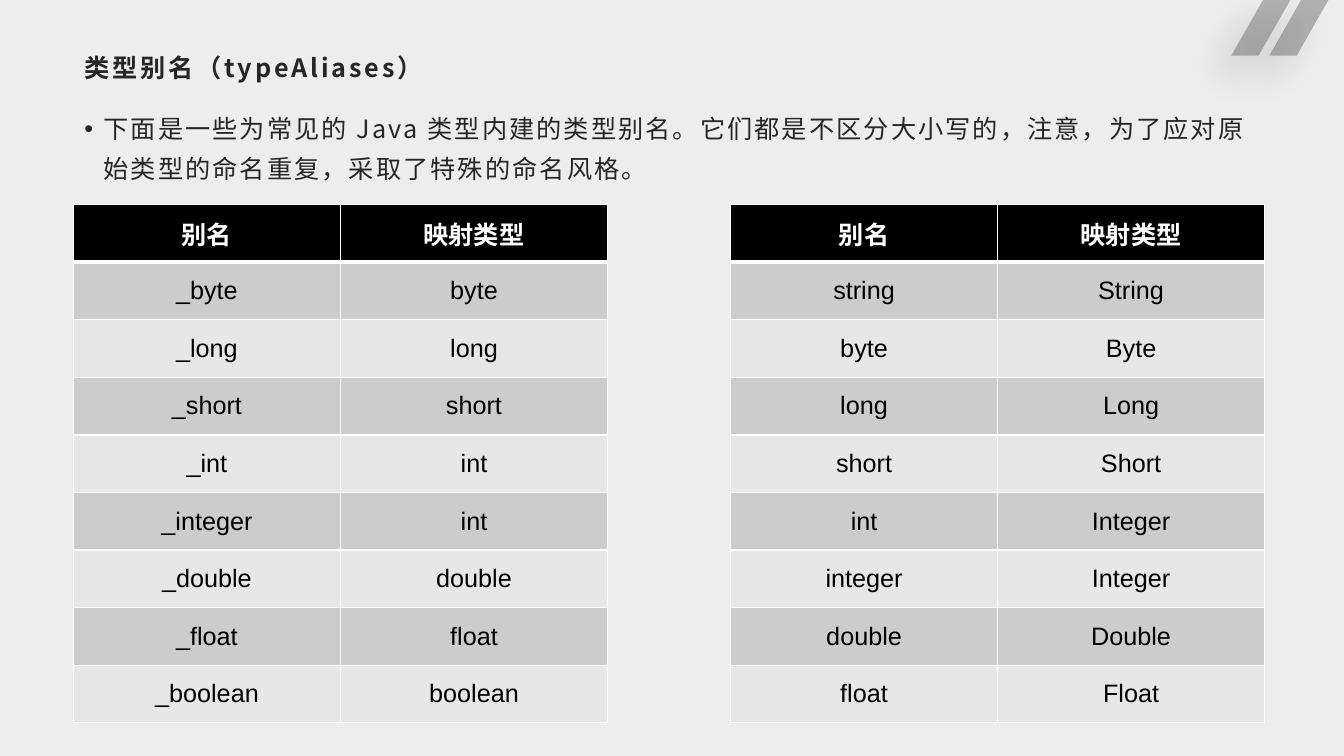
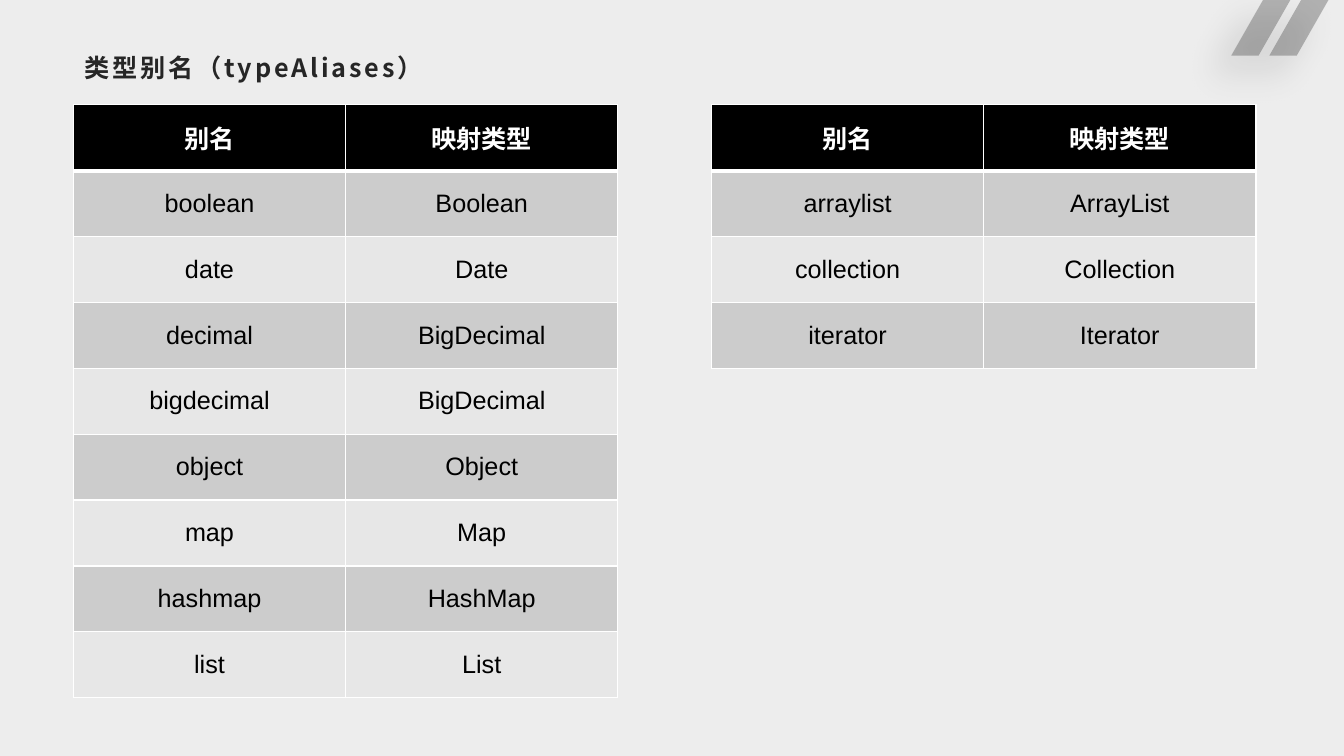
"""Build two slides listing the built-in type aliases."""
from lxml.etree import SubElement
from pptx import Presentation
from pptx.dml.color import RGBColor
from pptx.enum.text import MSO_ANCHOR, PP_ALIGN
from pptx.oxml.ns import qn
from pptx.util import Cm, Pt

TITLE = "类型别名（typeAliases）"
HEADINGS = ("别名", "映射类型")
SLIDES = [
    {
        "intro": "下面是一些为常见的 Java 类型内建的类型别名。它们都是不区分大小写的，注意，"
                 "为了应对原始类型的命名重复，采取了特殊的命名风格。",
        "top": 5.16, "column": 6.73, "row": 1.45,
        "tables": [
            (1.85, [("_byte", "byte"), ("_long", "long"), ("_short", "short"),
                    ("_int", "int"), ("_integer", "int"), ("_double", "double"),
                    ("_float", "float"), ("_boolean", "boolean")]),
            (18.41, [("string", "String"), ("byte", "Byte"), ("long", "Long"),
                     ("short", "Short"), ("int", "Integer"), ("integer", "Integer"),
                     ("double", "Double"), ("float", "Float")]),
        ],
    },
    {
        "intro": None,
        "top": 2.64, "column": 6.86, "row": 1.66,
        "tables": [
            (1.85, [("boolean", "Boolean"), ("date", "Date"), ("decimal", "BigDecimal"),
                    ("bigdecimal", "BigDecimal"), ("object", "Object"), ("map", "Map"),
                    ("hashmap", "HashMap"), ("list", "List")]),
            (17.93, [("arraylist", "ArrayList"), ("collection", "Collection"),
                     ("iterator", "Iterator")]),
        ],
    },
]

BACKGROUND = RGBColor(0xED, 0xED, 0xED)
INK = RGBColor(0x26, 0x26, 0x26)
BLACK = RGBColor(0, 0, 0)
WHITE = RGBColor(0xFF, 0xFF, 0xFF)
BANDS = (RGBColor(0xE7, 0xE7, 0xE7), RGBColor(0xCC, 0xCC, 0xCC))

TEXT_FONT = "Noto Sans CJK SC"
TITLE_FONT = {"name": TEXT_FONT, "size": Pt(18), "bold": True}
INTRO_FONT = {"name": TEXT_FONT, "size": Pt(18), "bold": False}
HEADING_FONT = {"name": "Arial", "size": Pt(18), "bold": True}
ENTRY_FONT = {"name": "Arial", "size": Pt(18), "bold": False}
TITLE_FRAME = {"word_wrap": True, "vertical_anchor": MSO_ANCHOR.TOP,
               "margin_left": Cm(0.28), "margin_right": Cm(0.2),
               "margin_top": Cm(0.1), "margin_bottom": Cm(0.1)}
INTRO_FRAME = {**TITLE_FRAME, "margin_right": Cm(0.23),
               "margin_top": 0, "margin_bottom": 0}
INTRO_SPACING = {"line_spacing": 1.3, "space_after": Pt(10)}

TEXT_LEFT, TEXT_WIDTH = Cm(1.85), Cm(30.15)
STRIPE_LEFTS = (32.79, 31.83)
STRIPE_WIDTH, STRIPE_SLANT, STRIPE_HEIGHT = 0.69, 0.8, 1.4


def set_all(target, values):
    for name, value in values.items():
        setattr(target, name, value)


def add_stripes(slide):
    outline = None
    for left in STRIPE_LEFTS:
        if outline is None:
            outline = slide.shapes.build_freeform(Cm(left), 0)
        else:
            outline.move_to(Cm(left), 0)
        right = left + STRIPE_WIDTH
        corners = [(right, 0), (right - STRIPE_SLANT, STRIPE_HEIGHT),
                   (left - STRIPE_SLANT, STRIPE_HEIGHT)]
        outline.add_line_segments([(Cm(x), Cm(y)) for x, y in corners], close=True)
    stripes = outline.convert_to_shape()
    stripes.fill.solid()
    stripes.fill.fore_color.rgb = INK
    stripes.line.fill.background()
    stripes.shadow.inherit = False
    properties = stripes._element.spPr
    ink = properties.find(qn("a:solidFill")).find(qn("a:srgbClr"))
    SubElement(ink, qn("a:alpha"), val="30000")
    shadow = SubElement(properties.find(qn("a:effectLst")), qn("a:outerShdw"),
                        blurRad=str(Pt(26)), dist=str(Pt(19)), dir="8100000",
                        algn="tr", rotWithShape="0")
    shade = SubElement(shadow, qn("a:srgbClr"), val=str(BLACK))
    SubElement(shade, qn("a:alpha"), val="40000")


def add_text(slide, text, top, height, frame_values, font_values, tracking):
    frame = slide.shapes.add_textbox(TEXT_LEFT, top, TEXT_WIDTH, height).text_frame
    set_all(frame, frame_values)
    paragraph = frame.paragraphs[0]
    run = paragraph.add_run()
    run.text = text
    set_all(run.font, font_values)
    run.font.color.rgb = INK
    properties = run._r.get_or_add_rPr()
    properties.set("spc", str(tracking))
    east_asian = SubElement(properties, qn("a:ea"), typeface=TEXT_FONT)
    properties.find(qn("a:latin")).addnext(east_asian)
    return paragraph


def add_intro(slide, text):
    paragraph = add_text(slide, text, Cm(2.64), Cm(2.4), INTRO_FRAME, INTRO_FONT, 150)
    set_all(paragraph, INTRO_SPACING)
    properties = paragraph._p.get_or_add_pPr()
    properties.set("marL", str(Cm(0.48)))
    properties.set("indent", str(-Cm(0.48)))
    SubElement(properties, qn("a:buFont"), typeface="Arial")
    SubElement(properties, qn("a:buChar"), char="•")


def set_borders(cell, widths):
    properties = cell._tc.get_or_add_tcPr()
    for position, (side, width) in enumerate(widths.items()):
        border = properties.makeelement(qn(f"a:ln{side}"), {"w": str(Pt(width))})
        paint = SubElement(border, qn("a:solidFill"))
        SubElement(paint, qn("a:srgbClr"), val=str(WHITE))
        properties.insert(position, border)


def add_alias_table(slide, left, top, column_width, row_height, entries):
    rows = [HEADINGS, *entries]
    table = slide.shapes.add_table(
        len(rows), len(HEADINGS), Cm(left), Cm(top),
        Cm(column_width * len(HEADINGS)), Cm(row_height * len(rows))).table
    for column in table.columns:
        column.width = Cm(column_width)
    for index, names in enumerate(rows):
        table.rows[index].height = Cm(row_height)
        heading = index == 0
        for column, name in enumerate(names):
            cell = table.cell(index, column)
            cell.vertical_anchor = MSO_ANCHOR.MIDDLE
            cell.fill.solid()
            cell.fill.fore_color.rgb = BLACK if heading else BANDS[index % 2]
            set_borders(cell, {"L": 1, "R": 1, "T": 3 if index == 1 else 1,
                               "B": 3 if heading else 1})
            paragraph = cell.text_frame.paragraphs[0]
            paragraph.alignment = PP_ALIGN.CENTER
            run = paragraph.add_run()
            run.text = name
            set_all(run.font, HEADING_FONT if heading else ENTRY_FONT)
            run.font.color.rgb = WHITE if heading else BLACK


def main():
    deck = Presentation()
    set_all(deck, {"slide_width": Cm(33.87), "slide_height": Cm(19.05)})
    backdrop = deck.slide_master.background.fill
    backdrop.solid()
    backdrop.fore_color.rgb = BACKGROUND
    for content in SLIDES:
        slide = deck.slides.add_slide(deck.slide_layouts[6])
        add_stripes(slide)
        add_text(slide, TITLE, Cm(1.22), Cm(1.22), TITLE_FRAME, TITLE_FONT, 200)
        if content["intro"]:
            add_intro(slide, content["intro"])
        for left, entries in content["tables"]:
            add_alias_table(slide, left, content["top"], content["column"],
                            content["row"], entries)
    deck.save("out.pptx")


if __name__ == "__main__":
    main()
